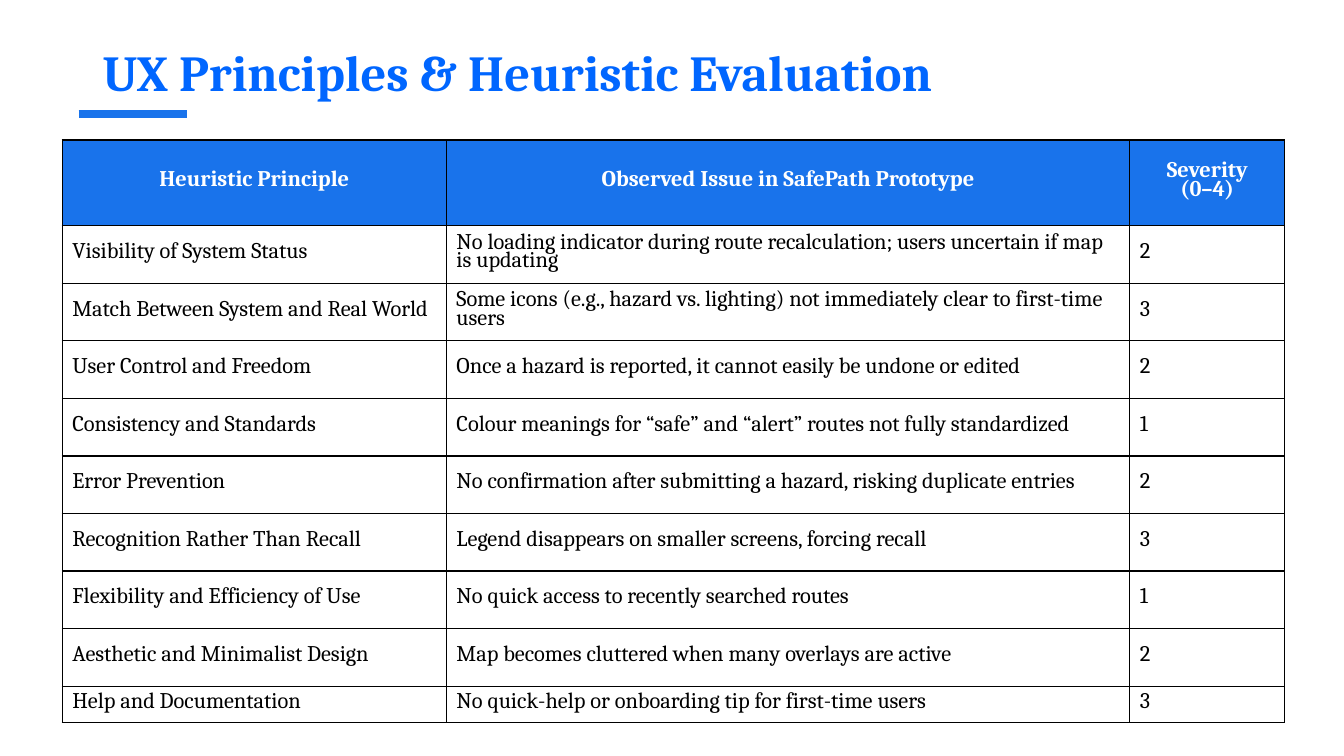
from lxml.etree import SubElement
from pptx import Presentation
from pptx.dml.color import RGBColor
from pptx.enum.shapes import MSO_CONNECTOR as Connector
from pptx.enum.text import MSO_ANCHOR as Anchor, PP_ALIGN as Align
from pptx.oxml.ns import qn
from pptx.util import Cm, Pt

TITLE_BLUE = RGBColor(0x00, 0x66, 0xFF)
HEADER_BLUE = RGBColor(0x19, 0x73, 0xEB)
WHITE = RGBColor(0xFF, 0xFF, 0xFF)
BLACK = RGBColor(0x00, 0x00, 0x00)

COLUMN_WIDTHS = [9.68, 17.22, 3.91]
ROW_HEIGHTS = [2.16] + [1.45] * 8 + [0.91]
HEADINGS = ("Heuristic Principle", "Observed Issue in SafePath Prototype", "Severity\n(0–4)")
FINDINGS = [
    ("Visibility of System Status",
     "No loading indicator during route recalculation; users uncertain if map is updating", "2"),
    ("Match Between System and Real World",
     "Some icons (e.g., hazard vs. lighting) not immediately clear to first-time users", "3"),
    ("User Control and Freedom",
     "Once a hazard is reported, it cannot easily be undone or edited", "2"),
    ("Consistency and Standards",
     "Colour meanings for “safe” and “alert” routes not fully standardized", "1"),
    ("Error Prevention",
     "No confirmation after submitting a hazard, risking duplicate entries", "2"),
    ("Recognition Rather Than Recall",
     "Legend disappears on smaller screens, forcing recall", "3"),
    ("Flexibility and Efficiency of Use",
     "No quick access to recently searched routes", "1"),
    ("Aesthetic and Minimalist Design",
     "Map becomes cluttered when many overlays are active", "2"),
    ("Help and Documentation",
     "No quick-help or onboarding tip for first-time users", "3"),
]


def write_text(frame, text, font="Cambria", size=16, color=BLACK, bold=False,
               align=Align.LEFT, line_spacing=None):
    frame.word_wrap = True
    paragraph = frame.paragraphs[0]
    paragraph.text = text
    paragraph.alignment = align
    if line_spacing:
        paragraph.line_spacing = Pt(line_spacing)
    for run in paragraph.runs:
        run.font.name = font
        run.font.size = Pt(size)
        run.font.bold = bold
        run.font.color.rgb = color


class SlideBuilder:
    def __init__(self, slide, font="Cambria", border_width=1):
        self.slide = slide
        self.font = font
        self.border_width = border_width

    def title(self, text, left, top, width, height):
        box = self.slide.shapes.add_textbox(Cm(left), Cm(top), Cm(width), Cm(height))
        box.text_frame.vertical_anchor = Anchor.TOP
        write_text(box.text_frame, text, font=self.font, size=36, color=TITLE_BLUE, bold=True)

    def rule(self, left, right, y, width):
        line = self.slide.shapes.add_connector(
            Connector.STRAIGHT, Cm(left), Cm(y), Cm(right), Cm(y))
        line.line.color.rgb = HEADER_BLUE
        line.line.width = Pt(width)
        SubElement(line._element.spPr, qn("a:effectLst"))

    def borders(self, cell):
        properties = cell._tc.get_or_add_tcPr()
        for side in ("a:lnL", "a:lnR", "a:lnT", "a:lnB"):
            border = SubElement(properties, qn(side), w=str(Pt(self.border_width)))
            fill = SubElement(border, qn("a:solidFill"))
            SubElement(fill, qn("a:srgbClr"), val=str(BLACK))

    def cell(self, cell, text, is_header):
        self.borders(cell)
        cell.vertical_anchor = Anchor.MIDDLE
        if is_header:
            cell.fill.solid()
            cell.fill.fore_color.rgb = HEADER_BLUE
        else:
            cell.fill.background()
        write_text(cell.text_frame, text, font=self.font, bold=is_header, line_spacing=13.5,
                   color=WHITE if is_header else BLACK,
                   align=Align.CENTER if is_header else Align.LEFT)

    def table(self, rows, left, top, widths, heights):
        table = self.slide.shapes.add_table(
            len(rows), len(widths), Cm(left), Cm(top), Cm(sum(widths)), Cm(sum(heights))).table
        for column, width in zip(table.columns, widths):
            column.width = Cm(width)
        for row, height in zip(table.rows, heights):
            row.height = Cm(height)
        for row_index, texts in enumerate(rows):
            for column_index, text in enumerate(texts):
                self.cell(table.cell(row_index, column_index), text, row_index == 0)


def main():
    presentation = Presentation()
    presentation.slide_width = Cm(33.87)
    presentation.slide_height = Cm(19.05)
    builder = SlideBuilder(presentation.slides.add_slide(presentation.slide_layouts[6]))
    builder.rule(1.98, 4.7, 2.87, 6)
    builder.title("UX Principles & Heuristic Evaluation", 2.34, 0.91, 24, 3.05)
    builder.table([HEADINGS] + FINDINGS, 1.57, 3.53, COLUMN_WIDTHS, ROW_HEIGHTS)
    presentation.save("out.pptx")


if __name__ == "__main__":
    main()
